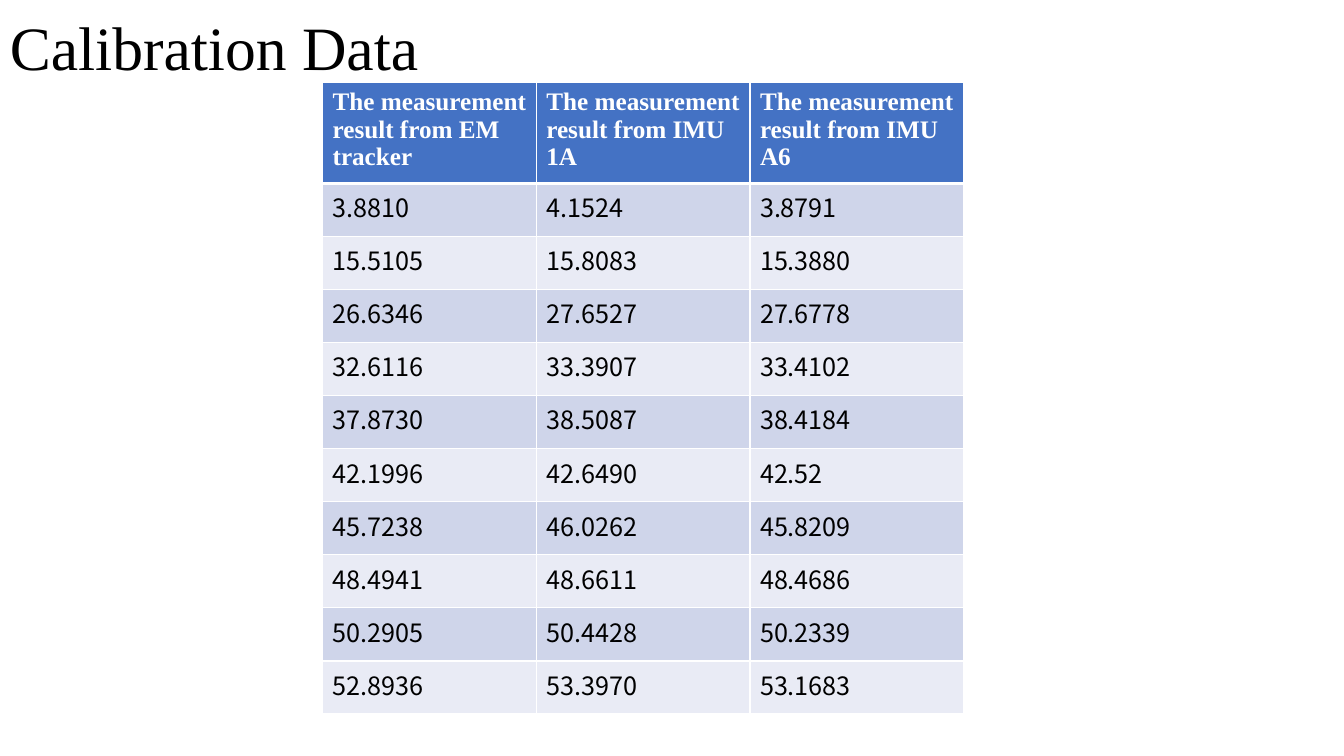
import dataclasses

import pptx
import pptx.dml.color
import pptx.enum.text
import pptx.oxml
import pptx.oxml.ns
import pptx.util

Pt = pptx.util.Pt


@dataclasses.dataclass(frozen=True)
class Theme:
    serif: str = "Times New Roman"
    sans: str = "Noto Sans CJK SC"
    ink: str = "000000"
    white: str = "FFFFFF"
    head: str = "4472C4"
    bands: tuple = ("CFD5EA", "E9EBF5")
    title: int = 44
    body: int = 18


class Deck:
    """Draw styled elements on the current slide."""

    def __init__(self, theme):
        self.theme = theme
        self.file = pptx.Presentation()
        self.file.slide_width = Pt(960)
        self.file.slide_height = Pt(540)
        self.slide = self.file.slides.add_slide(self.file.slide_layouts[6])

    def style(self, frame, size, face, color, bold=False):
        for para in frame.paragraphs:
            for run in para.runs:
                run.font.size = Pt(size)
                run.font.name = face
                run.font.bold = bold
                run.font.color.rgb = pptx.dml.color.RGBColor.from_string(color)

    def title(self, text, left, top, width, height):
        box = self.slide.shapes.add_textbox(Pt(left), Pt(top), Pt(width), Pt(height))
        frame = box.text_frame
        frame.word_wrap = True
        frame.vertical_anchor = pptx.enum.text.MSO_ANCHOR.MIDDLE
        frame.text = text
        frame.paragraphs[0].line_spacing = 0.9
        self.style(frame, self.theme.title, self.theme.serif, self.theme.ink)

    def border(self, cell, widths):
        props = cell._tc.get_or_add_tcPr()
        space = pptx.oxml.ns.nsdecls("a")
        for spot, (side, width) in enumerate(zip("LRTB", widths)):
            line = pptx.oxml.parse_xml(
                f'<a:ln{side} {space} w="{Pt(width)}"><a:solidFill>'
                f'<a:srgbClr val="{self.theme.white}"/></a:solidFill></a:ln{side}>')
            props.insert(spot, line)

    def cell(self, cell, text, row):
        look = self.theme
        head = row == 0
        cell.text_frame.text = text
        face, color = (look.serif, look.white) if head else (look.sans, look.ink)
        self.style(cell.text_frame, look.body, face, color, head)
        cell.fill.solid()
        fill = look.head if head else look.bands[(row - 1) % 2]
        cell.fill.fore_color.rgb = pptx.dml.color.RGBColor.from_string(fill)
        self.border(cell, (1, 1, 3 if row == 1 else 1, 3 if head else 1))

    def table(self, rows, left, top, width, first, rest):
        count = len(rows[0])
        height = first + rest * (len(rows) - 1)
        grid = self.slide.shapes.add_table(
            len(rows), count, Pt(left), Pt(top), Pt(width), Pt(height)).table
        for col in grid.columns:
            col.width = Pt(width / count)
        for row, texts in enumerate(rows):
            grid.rows[row].height = Pt(rest if row else first)
            for col, text in enumerate(texts):
                self.cell(grid.cell(row, col), text, row)


def main():
    heads = [f"The measurement result from {name}"
             for name in ("EM tracker", "IMU 1A", "IMU A6")]
    data = [
        ("3.8810", "4.1524", "3.8791"),
        ("15.5105", "15.8083", "15.3880"),
        ("26.6346", "27.6527", "27.6778"),
        ("32.6116", "33.3907", "33.4102"),
        ("37.8730", "38.5087", "38.4184"),
        ("42.1996", "42.6490", "42.52"),
        ("45.7238", "46.0262", "45.8209"),
        ("48.4941", "48.6611", "48.4686"),
        ("50.2905", "50.4428", "50.2339"),
        ("52.8936", "53.3970", "53.1683"),
    ]
    deck = Deck(Theme())
    deck.title("Calibration Data", 0, -15.8, 828, 104.4)
    deck.table([heads, *data], 230.4, 59, 458, 57.6, 37.9)
    deck.file.save("out.pptx")


if __name__ == "__main__":
    main()
